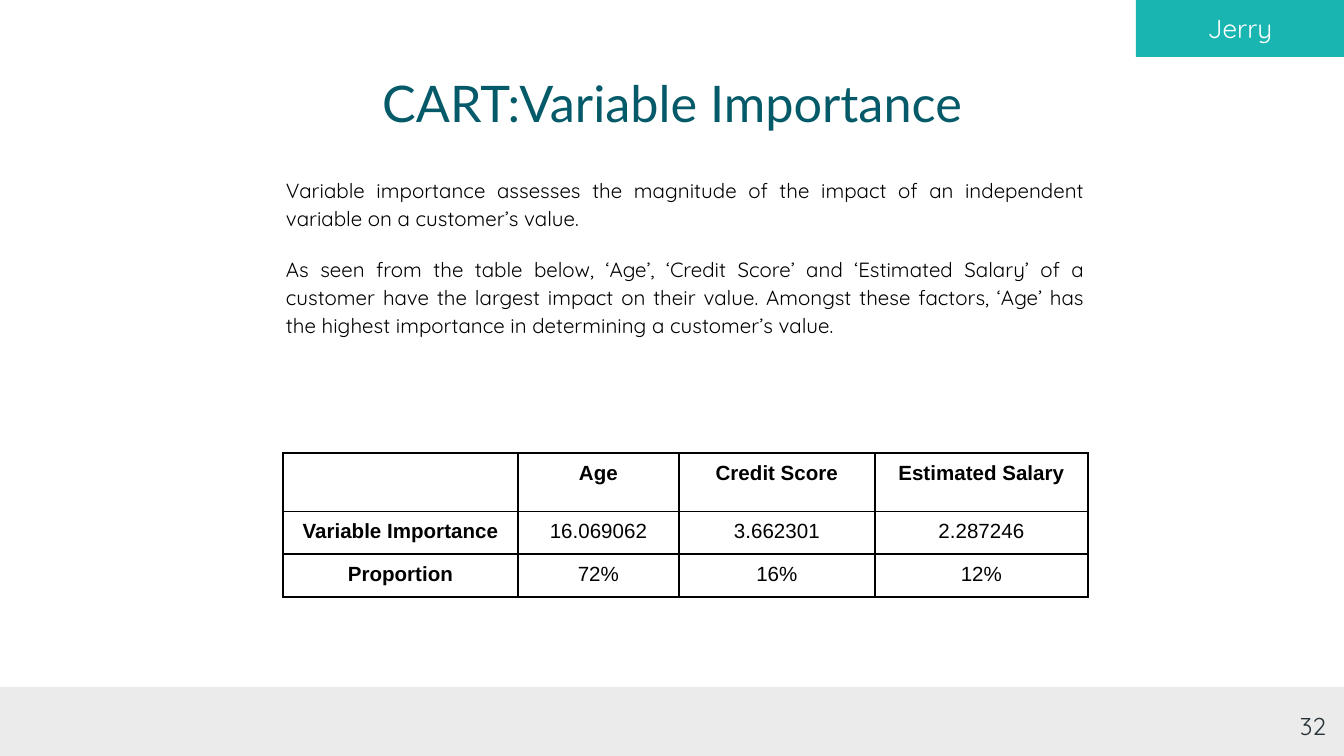
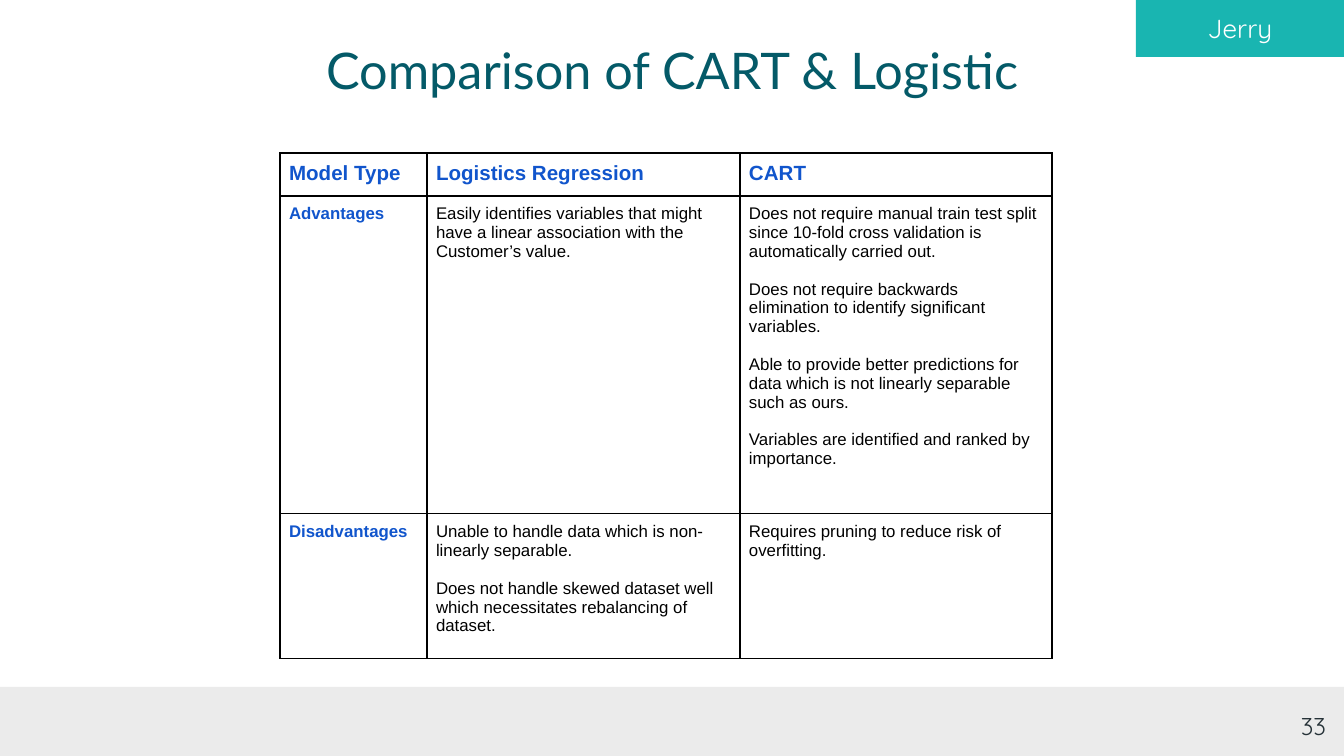
import dataclasses

import lxml.etree
import pptx
import pptx.dml.color
import pptx.enum.shapes
import pptx.enum.text
import pptx.oxml.ns
import pptx.util

ALIGN = pptx.enum.text.PP_ALIGN
ANCHOR = pptx.enum.text.MSO_ANCHOR

SLIDE_WIDTH, SLIDE_HEIGHT = 1344, 756  # px
EMU_PER_PX = 9144000 / SLIDE_WIDTH


@dataclasses.dataclass(frozen=True)
class Style:
    font: str
    size: int
    color: str
    bold: bool = False
    align: ALIGN = ALIGN.LEFT
    line_spacing: float = 1.0
    gap: int = 0  # points before a paragraph


@dataclasses.dataclass(frozen=True)
class Theme:
    band: str = "EBEBEB"
    accent: str = "19B5B1"
    border: str = "000000"
    border_width: int = 1
    inset: int = 13
    cell_inset: int = 9
    title: Style = Style("Lato", 27, "045A68", align=ALIGN.CENTER)
    body: Style = Style("Quicksand", 11, "000000", align=ALIGN.JUSTIFY,
                        line_spacing=1.15, gap=12)
    presenter: Style = Style("Quicksand", 14, "FFFFFF", align=ALIGN.CENTER)
    number: Style = Style("Quicksand", 13, "263238", align=ALIGN.RIGHT)
    label: Style = Style("Arial", 11, "000000", bold=True, align=ALIGN.CENTER)
    value: Style = Style("Arial", 11, "000000", align=ALIGN.CENTER)
    heading: Style = Style("Arial", 11, "1155CC", bold=True)
    row_heading: Style = Style("Arial", 9, "1155CC", bold=True)
    remark: Style = Style("Arial", 9, "000000", gap=10)


THEME = Theme()

# Content: each table cell is a list of paragraphs
PRESENTER = "Jerry"
FIRST_NUMBER = 32

SLIDES = [
    {
        "title": "CART:Variable Importance",
        "title_top": 79,
        "body": [
            "Variable importance assesses the magnitude of the impact of an "
            "independent variable on a customer’s value.",
            "As seen from the table below, ‘Age’, ‘Credit Score’ and ‘Estimated "
            "Salary’ of a customer have the largest impact on their value. Amongst "
            "these factors, ‘Age’ has the highest importance in determining a "
            "customer’s value.",
        ],
        "table": {
            "at": (283, 453),
            "columns": [235, 161, 196, 213],
            "rows": [57, 41, 41],
            "styles": (THEME.label, THEME.label, THEME.value),
            "cells": [
                [[], ["Age"], ["Credit Score"], ["Estimated Salary"]],
                [["Variable Importance"], ["16.069062"], ["3.662301"], ["2.287246"]],
                [["Proportion"], ["72%"], ["16%"], ["12%"]],
            ],
        },
    },
    {
        "title": "Comparison of CART & Logistic",
        "title_top": 46,
        "body": [],
        "table": {
            "at": (280, 153),
            "columns": [147, 313, 312],
            "rows": [42, 318, 145],
            "styles": (THEME.heading, THEME.row_heading, THEME.remark),
            "cells": [
                [["Model Type"], ["Logistics Regression"], ["CART"]],
                [
                    ["Advantages"],
                    ["Easily identifies variables that might have a linear "
                     "association with the Customer’s value."],
                    ["Does not require manual train test split since 10-fold cross "
                     "validation is automatically carried out.",
                     "Does not require backwards elimination to identify "
                     "significant variables.",
                     "Able to provide better predictions for data which is not "
                     "linearly separable such as ours.",
                     "Variables are identified and ranked by importance."],
                ],
                [
                    ["Disadvantages"],
                    ["Unable to handle data which is non-linearly separable.",
                     "Does not handle skewed dataset well which necessitates "
                     "rebalancing of dataset."],
                    ["Requires pruning to reduce risk of overfitting."],
                ],
            ],
        },
    },
]


def px(length):
    return pptx.util.Emu(round(length * EMU_PER_PX))


def rgb(color):
    return pptx.dml.color.RGBColor.from_string(color)


# Text
def set_margins(holder, inset):
    for side in ("left", "right", "top", "bottom"):
        setattr(holder, f"margin_{side}", px(inset))


def write(frame, paragraphs, style):
    for index, text in enumerate(paragraphs):
        para = frame.add_paragraph() if index else frame.paragraphs[0]
        para.text = text
        para.alignment = style.align
        para.line_spacing = style.line_spacing
        if index:
            para.space_before = pptx.util.Pt(style.gap)
        para.font.name = style.font
        para.font.size = pptx.util.Pt(style.size)
        para.font.bold = style.bold
        para.font.color.rgb = rgb(style.color)


def add_text(page, area, paragraphs, style, anchor=ANCHOR.TOP):
    frame = page.shapes.add_textbox(*map(px, area)).text_frame
    frame.word_wrap = True
    frame.vertical_anchor = anchor
    set_margins(frame, THEME.inset)
    write(frame, paragraphs, style)


def add_block(page, area, color):
    block = page.shapes.add_shape(
        pptx.enum.shapes.MSO_SHAPE.RECTANGLE, *map(px, area))
    block.shadow.inherit = False
    block.fill.solid()
    block.fill.fore_color.rgb = rgb(color)
    block.line.fill.background()
    return block


# Tables
def set_borders(cell):
    properties = cell._tc.get_or_add_tcPr()
    qn = pptx.oxml.ns.qn
    for index, side in enumerate(("lnL", "lnR", "lnT", "lnB")):
        line = lxml.etree.Element(qn(f"a:{side}"))
        line.set("w", str(pptx.util.Pt(THEME.border_width)))
        fill = lxml.etree.SubElement(line, qn("a:solidFill"))
        lxml.etree.SubElement(fill, qn("a:srgbClr")).set("val", THEME.border)
        properties.insert(index, line)


def add_grid(page, spec_table):
    columns, rows = spec_table["columns"], spec_table["rows"]
    area = (*spec_table["at"], sum(columns), sum(rows))
    grid = page.shapes.add_table(len(rows), len(columns), *map(px, area)).table
    grid.first_row = grid.horz_banding = False
    for column, width in zip(grid.columns, columns):
        column.width = px(width)
    for row, height in zip(grid.rows, rows):
        row.height = px(height)

    top_style, side_style, inner_style = spec_table["styles"]
    for r, row_cells in enumerate(spec_table["cells"]):
        for c, paragraphs in enumerate(row_cells):
            cell = grid.cell(r, c)
            cell.fill.background()
            set_margins(cell, THEME.cell_inset)
            set_borders(cell)
            style = top_style if r == 0 else side_style if c == 0 else inner_style
            write(cell.text_frame, paragraphs, style)


# Slides
def add_page(deck, content, number):
    page = deck.slides.add_slide(deck.slide_layouts[6])

    # Footer band, title and page number
    add_block(page, (0, 687, SLIDE_WIDTH, SLIDE_HEIGHT - 687), THEME.band)
    add_text(page, (105, content["title_top"], SLIDE_WIDTH - 2 * 105, 47),
             [content["title"]], THEME.title, ANCHOR.MIDDLE)
    add_text(page, (1258, 698, 81, 58), [str(number)], THEME.number)

    # Body and table
    if content["body"]:
        add_text(page, (273, 161, 825, 441), content["body"], THEME.body)
    add_grid(page, content["table"])

    # Presenter tag
    tag = add_block(page, (1136, 0, SLIDE_WIDTH - 1136, 57), THEME.accent)
    set_margins(tag.text_frame, THEME.inset)
    write(tag.text_frame, [PRESENTER], THEME.presenter)


def main():
    deck = pptx.Presentation()
    deck.slide_width, deck.slide_height = px(SLIDE_WIDTH), px(SLIDE_HEIGHT)
    for number, content in enumerate(SLIDES, FIRST_NUMBER):
        add_page(deck, content, number)
    deck.save("out.pptx")


if __name__ == "__main__":
    main()
